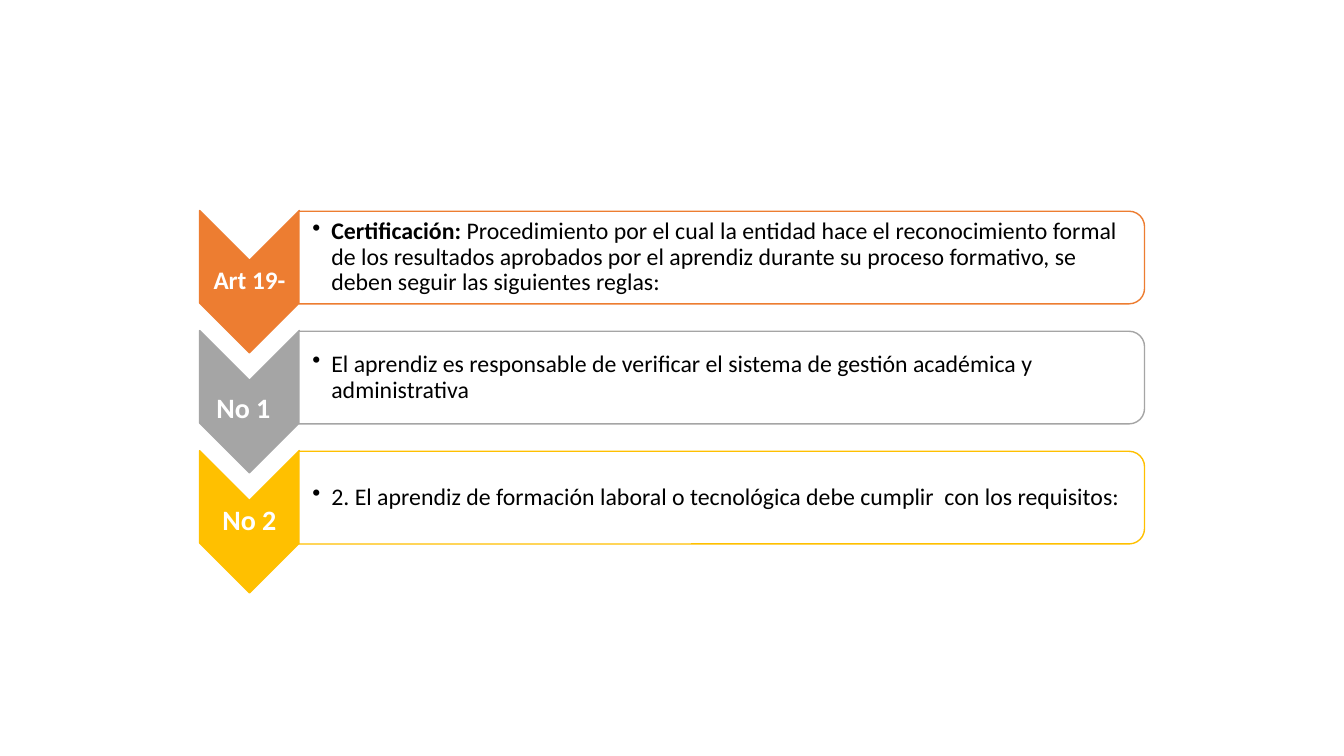
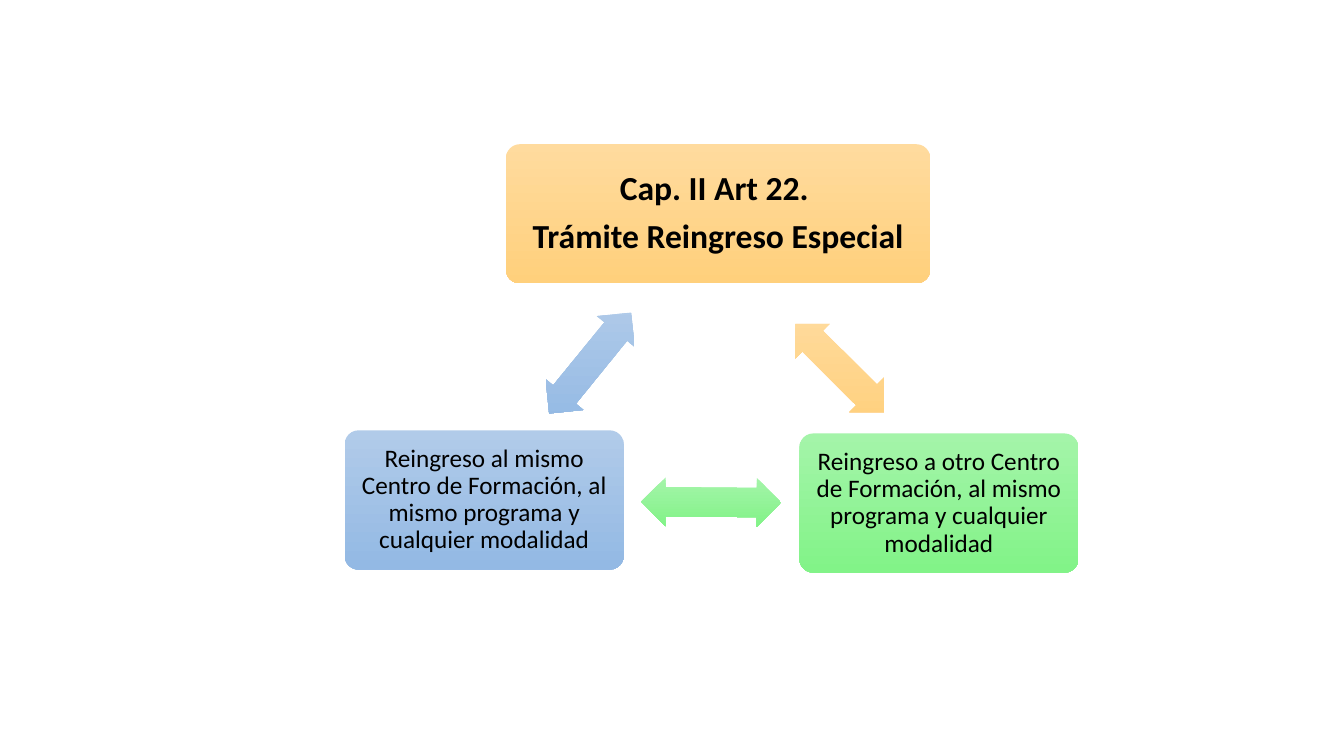
from lxml.etree import SubElement
from pptx import Presentation
from pptx.dml.color import RGBColor
from pptx.enum.shapes import MSO_SHAPE
from pptx.enum.text import MSO_ANCHOR, PP_ALIGN
from pptx.oxml.ns import qn
from pptx.util import Pt

FONT = "Calibri"
BLACK, WHITE = "000000", "FFFFFF"
ORANGE, GREY, GOLD = "ED7D31", "A5A5A5", "FFC000"
# Gradients run from top to bottom
PEACH, GREEN, BLUE = ("FFDB9E", "FFD07C"), ("A4F4A9", "82F388"), ("B1CBE9", "93B9E4")


def draw(slide, kind, box, fill, line=None, turn=0, adjust=()):
    """Add a preset shape; a tuple as fill gives a vertical gradient."""
    shape = slide.shapes.add_shape(kind, *[Pt(n) for n in box])
    shape.shadow.inherit = False
    shape.rotation = turn
    for i, value in enumerate(adjust):
        shape.adjustments[i] = value
    if isinstance(fill, tuple):
        shape.fill.gradient()
        shape.fill.gradient_angle = 270
        for stop, tint in zip(shape.fill.gradient_stops, fill):
            stop.color.rgb = RGBColor.from_string(tint)
        # Keep the gradient upright when the shape is turned
        shape.element.spPr.find(qn("a:gradFill")).set("rotWithShape", "0")
    else:
        shape.fill.solid()
        shape.fill.fore_color.rgb = RGBColor.from_string(fill)
    if line:
        shape.line.color.rgb = RGBColor.from_string(line)
        shape.line.width = Pt(1)
    else:
        shape.line.fill.background()
    return shape


def write(shape, paras, inset, left, color=BLACK, align=PP_ALIGN.CENTER, after=0.35):
    """Fill a shape with paragraphs, each a list of (text, size, bold) runs."""
    frame = shape.text_frame
    frame.word_wrap = True
    frame.vertical_anchor = MSO_ANCHOR.MIDDLE
    frame.margin_left = Pt(left)
    frame.margin_top = frame.margin_right = frame.margin_bottom = Pt(inset)
    frame.text = "\n".join(runs[0][0] for runs in paras)
    for para, runs in zip(frame.paragraphs, paras):
        para.alignment = align
        para.line_spacing = 0.9
        para.space_after = Pt(round(runs[0][1] * after, 2))
        for text, size, bold in runs[1:]:
            para.add_run().text = text
        for run, (text, size, bold) in zip(para.runs, runs):
            run.font.name = FONT
            run.font.size = Pt(size)
            run.font.bold = bold
            run.font.color.rgb = RGBColor.from_string(color)


deck = Presentation()
deck.slide_width, deck.slide_height = Pt(960), Pt(540)
blank = deck.slide_layouts[6]

# Slide 1: rows of chevron and rule
slide = deck.slides.add_slide(blank)
rows = [
    (ORANGE, [("Art 19-", 18, True)],
     [("Certificación: ", 17, True),
      ("Procedimiento por el cual la entidad hace el reconocimiento formal de los "
       "resultados aprobados por el aprendiz durante su proceso formativo, se deben "
       "seguir las siguientes reglas:", 17, False)]),
    (GREY, [("No 1", 20, True), (" ", 38, False)],
     [("El aprendiz es responsable de verificar el sistema de gestión académica y "
       "administrativa", 17, False)]),
    (GOLD, [("No 2", 20, True)],
     [("2. El aprendiz de formación laboral o tecnológica debe cumplir  con los "
       "requisitos:", 17, False)]),
]
for i, (color, label, rule) in enumerate(rows):
    top = i * 85.75
    draw(slide, MSO_SHAPE.CHEVRON, (127.4, top + 165.6, 101.6, 71.2), color, color, 90)
    tag = slide.shapes.add_textbox(Pt(142.6), Pt(top + 185.8), Pt(71.2), Pt(30.2))
    write(tag, [label], 0.9, 0.9, WHITE)
    draw(slide, MSO_SHAPE.ROUND_2_SAME_RECTANGLE, (482.4, top - 118.1, 66.2, 604.1),
         WHITE, color, 90)
    note = slide.shapes.add_textbox(Pt(213.8), Pt(top + 154.1), Pt(600.5), Pt(59.8))
    write(note, [rule], 0.9, 9.4, align=PP_ALIGN.LEFT, after=0.15)
    # Hanging bullet
    props = note.text_frame.paragraphs[0]._p.get_or_add_pPr()
    props.set("marL", str(Pt(13.5)))
    props.set("indent", str(Pt(-13.5)))
    SubElement(props, qn("a:buChar")).set("char", "•")

# Slide 2: triangle of boxes
slide = deck.slides.add_slide(blank)
boxes = [
    ((361.4, 103, 303.1, 99.4), PEACH, 7.2,
     [[("Cap. II Art 22. ", 24, True)], [("Trámite Reingreso Especial", 24, True)]]),
    ((571, 309.6, 199.4, 99.4), GREEN, 5.4,
     [[("Reingreso a otro Centro de Formación, al mismo programa y cualquier modalidad",
        18, False)]]),
    ((246.2, 307.4, 199.4, 99.4), BLUE, 5.4,
     [[("Reingreso al mismo Centro de Formación, al mismo programa y cualquier modalidad",
        18, False)]]),
]
for box, fill, inset, paras in boxes:
    card = draw(slide, MSO_SHAPE.ROUNDED_RECTANGLE, box, fill, adjust=[0.1])
    write(card, paras, inset, inset)

# Arrows between the boxes
arrows = [
    ((555.1, 245.5, 89.3, 34.8), PEACH, 44.9),
    ((457.9, 341.3, 100.1, 34.8), GREEN, 180.4),
    ((375.1, 241.9, 92.9, 34.8), BLUE, 309.1),
]
for box, fill, turn in arrows:
    draw(slide, MSO_SHAPE.LEFT_RIGHT_ARROW, box, fill, turn=turn, adjust=[0.6, 0.5])

deck.save("out.pptx")
